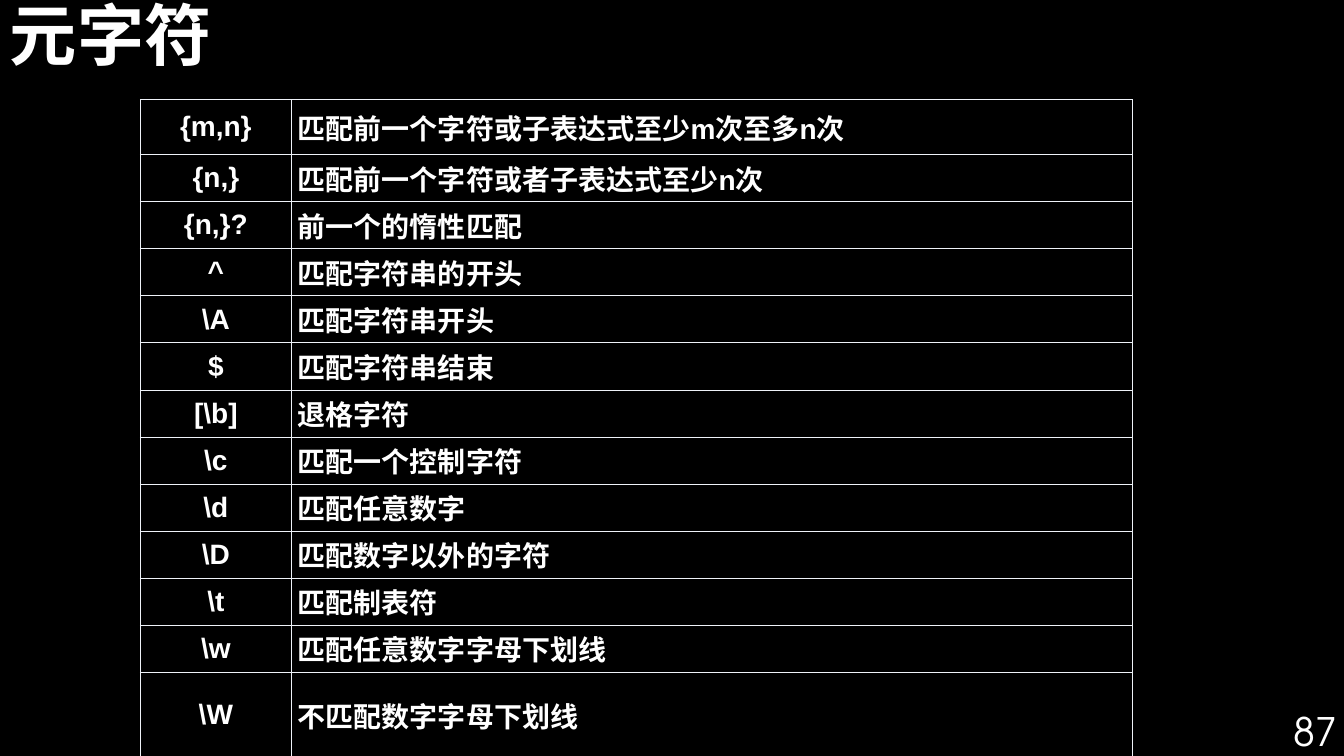
from lxml.etree import SubElement
from pptx import Presentation
from pptx.dml.color import RGBColor
from pptx.enum.text import MSO_ANCHOR, PP_ALIGN
from pptx.oxml.ns import qn
from pptx.util import Pt

BLACK = RGBColor(0x00, 0x00, 0x00)
WHITE = RGBColor(0xFF, 0xFF, 0xFF)
GRID = RGBColor(0xEE, 0xF2, 0xF8)

METACHARACTERS = [
    ("{m,n}", "匹配前一个字符或子表达式至少m次至多n次"),
    ("{n,}", "匹配前一个字符或者子表达式至少n次"),
    ("{n,}?", "前一个的惰性匹配"),
    ("^", "匹配字符串的开头"),
    (r"\A", "匹配字符串开头"),
    ("$", "匹配字符串结束"),
    (r"[\b]", "退格字符"),
    (r"\c", "匹配一个控制字符"),
    (r"\d", "匹配任意数字"),
    (r"\D", "匹配数字以外的字符"),
    (r"\t", "匹配制表符"),
    (r"\w", "匹配任意数字字母下划线"),
    (r"\W", "不匹配数字字母下划线"),
]


class SlideBuilder:
    cjk_font = "Noto Sans CJK SC"

    def __init__(self, slide):
        self.slide = slide
        slide.background.fill.solid()
        slide.background.fill.fore_color.rgb = BLACK

    def style(self, paragraph, font, size, bold, align):
        paragraph.alignment = align
        paragraph.font.size = Pt(size)
        paragraph.font.bold = bold
        paragraph.font.color.rgb = WHITE
        paragraph.font.name = font
        defaults = paragraph._p.pPr.find(qn("a:defRPr"))
        SubElement(defaults, qn("a:ea")).set("typeface", self.cjk_font)

    def text(self, words, left, top, width, height, font, size,
             bold=False, align=PP_ALIGN.LEFT, line_spacing=1.0):
        frame = self.slide.shapes.add_textbox(
            Pt(left), Pt(top), Pt(width), Pt(height)).text_frame
        frame.word_wrap = True
        frame.vertical_anchor = MSO_ANCHOR.MIDDLE
        paragraph = frame.paragraphs[0]
        paragraph.text = words
        paragraph.line_spacing = line_spacing
        self.style(paragraph, font, size, bold, align)

    def border(self, cell):
        properties = cell._tc.get_or_add_tcPr()
        for side in ("L", "R", "T", "B"):
            line = SubElement(properties, qn(f"a:ln{side}"), w=str(Pt(0.6)))
            fill = SubElement(line, qn("a:solidFill"))
            SubElement(fill, qn("a:srgbClr"), val=str(GRID))

    def cell(self, cell, words, align):
        cell.margin_left = cell.margin_right = Pt(4.5)
        cell.margin_top = cell.margin_bottom = Pt(2.25)
        cell.vertical_anchor = MSO_ANCHOR.MIDDLE
        self.border(cell)
        cell.fill.solid()
        cell.fill.fore_color.rgb = BLACK
        paragraph = cell.text_frame.paragraphs[0]
        paragraph.text = words
        self.style(paragraph, "Arial", 20, True, align)

    def table(self, rows, left, top, widths, heights):
        table = self.slide.shapes.add_table(
            len(rows), len(widths), Pt(left), Pt(top),
            Pt(sum(widths)), Pt(sum(heights))).table
        table.first_row = table.horz_banding = False
        for column, width in zip(table.columns, widths):
            column.width = Pt(width)
        aligns = (PP_ALIGN.CENTER, PP_ALIGN.LEFT)
        for index, (entry, height) in enumerate(zip(rows, heights)):
            table.rows[index].height = Pt(height)
            for position, words in enumerate(entry):
                self.cell(table.cell(index, position), words, aligns[position])


def main():
    presentation = Presentation()
    presentation.slide_width = Pt(960)
    presentation.slide_height = Pt(540)
    builder = SlideBuilder(
        presentation.slides.add_slide(presentation.slide_layouts[6]))
    builder.text("元字符", 0, -8, 677, 71, builder.cjk_font, 48,
                 bold=True, line_spacing=0.9)
    middle_heights = [33.64] * (len(METACHARACTERS) - 2)
    builder.table(METACHARACTERS, 100.2, 71, (108, 601),
                  [39.4, *middle_heights, 61.2])
    builder.text("87", 746, 507.5, 216, 29, "TeX Gyre Adventor", 28,
                 align=PP_ALIGN.RIGHT)
    presentation.save("out.pptx")


if __name__ == "__main__":
    main()
